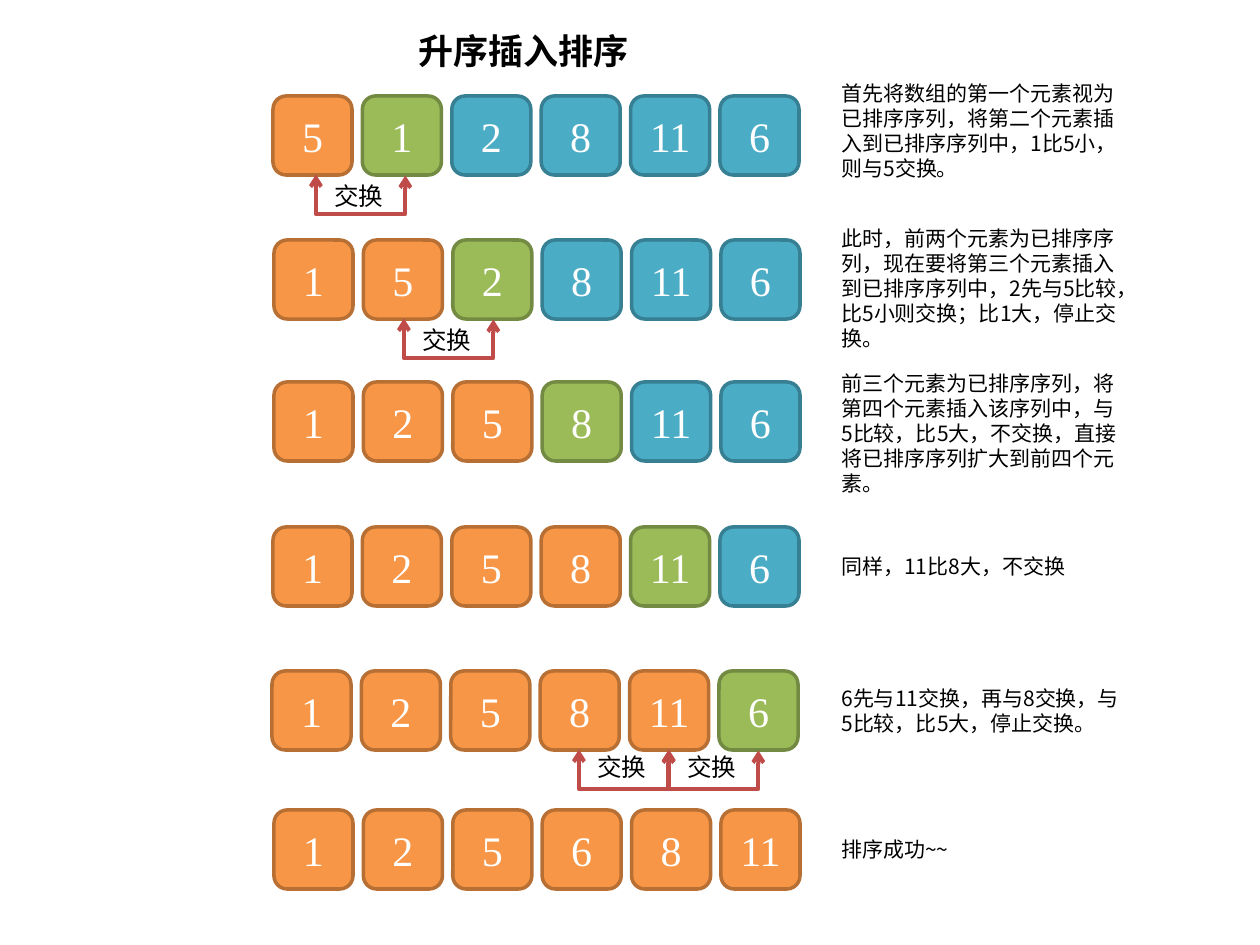
import pptx
import pptx.util
import pptx.dml.color
import pptx.enum.shapes
import pptx.enum.text
import pptx.oxml.ns
import pptx.oxml.xmlchemy

SCALE = 914400 // 126  # EMU in one px
SANS, SERIF = "Noto Sans CJK JP", "Times New Roman"
BLACK, WHITE, RED = "000000", "FFFFFF", "BF4C48"
# fill and edge: sorted, current, waiting
TONES = {"s": ("F79646", "B76F34"),
         "c": ("9BBB59", "738A42"),
         "w": ("4BACC6", "377F92")}

TITLE = "升序插入排序"
# left, top, values, tones
ROWS = [
    (273, 96, (5, 1, 2, 8, 11, 6), "scwwww"),
    (274, 240, (1, 5, 2, 8, 11, 6), "sscwww"),
    (274, 382, (1, 2, 5, 8, 11, 6), "ssscww"),
    (273, 527, (1, 2, 5, 8, 11, 6), "sssscw"),
    (272, 671, (1, 2, 5, 8, 11, 6), "sssssc"),
    (274, 810, (1, 2, 5, 6, 8, 11), "ssssss"),
]
# top, height, wording
NOTES = [
    (74, 115, "首先将数组的第一个元素视为已排序序列，将第二个元素插入到已排序序列中，1比5小，则与5交换。"),
    (219, 140, "此时，前两个元素为已排序序列，现在要将第三个元素插入到已排序序列中，2先与5比较，比5小则交换；比1大，停止交换。"),
    (364, 140, "前三个元素为已排序序列，将第四个元素插入该序列中，与5比较，比5大，不交换，直接将已排序序列扩大到前四个元素。"),
    (547, 38, "同样，11比8大，不交换"),
    (679, 63, "6先与11交换，再与8交换，与5比较，比5大，停止交换。"),
    (830, 38, "排序成功~~"),
]
SWAP = "交换"
# left end, top of arrow, top of label
SWAPS = [(316, 175, 175), (404, 319, 319), (579, 750, 746), (669, 750, 746)]

CELL, SPAN = 79, 447  # cell side, first to last cell
STEP = SPAN / 5
DEPTH = 40            # drop of a swap arrow


def px(n):
    return pptx.util.Emu(round(n * SCALE))


def rgb(hue):
    return pptx.dml.color.RGBColor.from_string(hue)


def node(tag, **attrs):
    item = pptx.oxml.xmlchemy.OxmlElement(tag)
    for key, value in attrs.items():
        item.set(key, value)
    return item


def write(shape, text, size, face, hue, bold=False, mid=False):
    frame = shape.text_frame
    frame.text = text
    frame.word_wrap = True
    para = frame.paragraphs[0]
    if mid:
        para.alignment = pptx.enum.text.PP_ALIGN.CENTER
    for run in para.runs:
        font = run.font
        font.size, font.bold, font.name = pptx.util.Pt(size), bold, face
        font.color.rgb = rgb(hue)
        font._element.append(node("a:ea", typeface=face))


def label(x, y, w, h, text, size, **style):
    box = slide.shapes.add_textbox(px(x), px(y), px(w), px(h))
    write(box, text, size, SANS, BLACK, **style)
    box.text_frame.auto_size = pptx.enum.text.MSO_AUTO_SIZE.SHAPE_TO_FIT_TEXT


def cell(x, y, text, tone):
    box = slide.shapes.add_shape(
        pptx.enum.shapes.MSO_SHAPE.ROUNDED_RECTANGLE,
        px(x), px(y), px(CELL), px(CELL))
    fill, edge = TONES[tone]
    box.shadow.inherit = False
    box.fill.solid()
    box.fill.fore_color.rgb = rgb(fill)
    box.line.color.rgb = rgb(edge)
    box.line.width = pptx.util.Pt(2)
    write(box, text, 24, SERIF, WHITE, mid=True)
    box.text_frame.vertical_anchor = pptx.enum.text.MSO_ANCHOR.MIDDLE


def swap(x, y):
    # A thin upright elbow, turned a quarter so both ends point up
    mid = x + STEP / 2
    line = slide.shapes.add_connector(
        pptx.enum.shapes.MSO_CONNECTOR.ELBOW,
        px(mid + 0.5), px(y - STEP / 2), px(mid - 0.5), px(y + STEP / 2))
    line.line.color.rgb = rgb(RED)
    line.line.width = pptx.util.Pt(2.25)
    prop = line._element.spPr
    prop.find(pptx.oxml.ns.qn("a:xfrm")).set("rot", str(270 * 60000))
    geom = prop.find(pptx.oxml.ns.qn("a:prstGeom"))
    geom.find(pptx.oxml.ns.qn("a:avLst")).append(
        node("a:gd", name="adj1", fmla=f"val {DEPTH * 100000}"))
    for tag in ("a:headEnd", "a:tailEnd"):
        prop.find(pptx.oxml.ns.qn("a:ln")).append(node(tag, type="arrow"))
    prop.append(node("a:effectLst"))


deck = pptx.Presentation()
deck.slide_width, deck.slide_height = px(1260), px(945)
slide = deck.slides.add_slide(deck.slide_layouts[6])

# Title
label(370, 23, 307, 55, TITLE, 20, bold=True, mid=True)

# Array after each step
for left, top, nums, tones in ROWS:
    for col, (num, tone) in enumerate(zip(nums, tones)):
        cell(left + col * STEP, top, str(num), tone)

# Swap arrows with labels
for x, y, top in SWAPS:
    swap(x, y)
    label(x + 6, top, 88, 43, SWAP, 14)

# Notes beside the rows
for top, high, text in NOTES:
    label(829, top, 307, high, text, 12)

deck.save("out.pptx")
